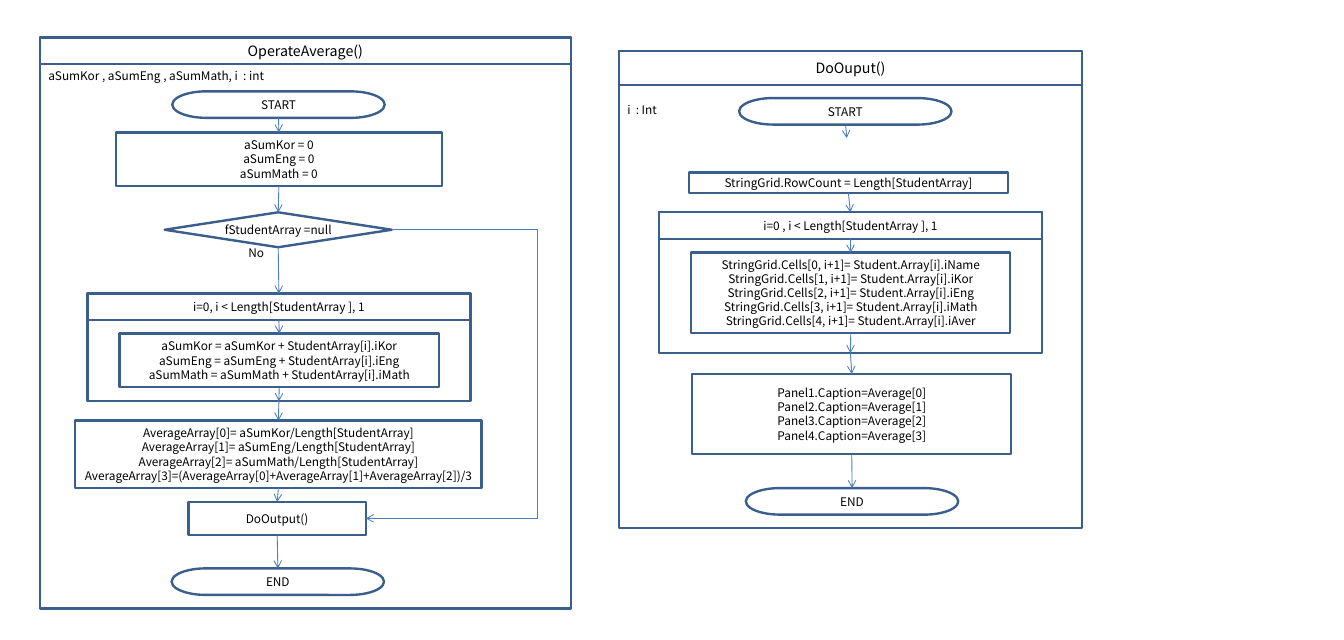
from lxml import etree
from pptx import Presentation
from pptx import util as u
from pptx.dml.color import RGBColor
from pptx.enum import shapes, text
from pptx.oxml import ns

BORDER, FLOW, INK = "3A5F8C", "4B7EBC", "000000"
FONT = "Noto Sans CJK KR"
RECT = shapes.MSO_SHAPE.RECTANGLE
TERMINATOR = shapes.MSO_SHAPE.FLOWCHART_TERMINATOR
DECISION = shapes.MSO_SHAPE.FLOWCHART_DECISION
TOP, BOTTOM = 0, 2


def write(shape, lines, size, align, **frame_format):
    frame = shape.text_frame
    for key, value in frame_format.items():
        setattr(frame, key, value)
    frame.text = "\n".join(lines)
    for paragraph in frame.paragraphs:
        paragraph.alignment = align
        paragraph.line_spacing = u.Pt(size * 1.2)
        paragraph.font.name = FONT
        paragraph.font.size = u.Pt(size)
        paragraph.font.color.rgb = RGBColor.from_string(INK)


def draw_box(kind, place, lines=(), size=10):
    box = slide.shapes.add_shape(kind, *map(u.Cm, place))
    box.shadow.inherit = False
    box.fill.background()
    box.line.color.rgb = RGBColor.from_string(BORDER)
    box.line.width = u.Pt(2)
    if lines:
        write(box, lines, size, text.PP_ALIGN.CENTER, **centred)
    return box


centred = {
    "margin_left": 0,
    "margin_right": 0,
    "margin_top": 0,
    "margin_bottom": 0,
    "vertical_anchor": text.MSO_ANCHOR.MIDDLE,
    "word_wrap": True,
}

deck = Presentation()
deck.slide_width, deck.slide_height = u.Cm(40), u.Cm(19.05)
slide = deck.slides.add_slide(deck.slide_layouts[6])

parts = {}

frames = [
    ("operate", (1.19, 1.12, 15.8, 16.99), 0.79, "OperateAverage()", 12),
    ("output", (18.42, 1.52, 13.79, 14.2), 1.02, "DoOuput()", 12),
    ("sum loop", (2.6, 8.74, 11.4, 3.2), 0.79, "i=0, i < Length[StudentArray ], 1", 10),
    ("cell loop", (19.61, 6.32, 11.4, 4.19), 0.79, "i=0 , i < Length[StudentArray ], 1", 10),
]
for name, place, header_height, title, size in frames:
    parts[name] = draw_box(RECT, place)
    parts[name + " header"] = draw_box(RECT, (*place[:3], header_height), [title], size)

subjects = ["Kor", "Eng", "Math"]
fields = ["iName", "iKor", "iEng", "iMath", "iAver"]
sums = [f"aSum{s} = aSum{s} + StudentArray[i].i{s}" for s in subjects]
averages = [f"AverageArray[{n}]= aSum{s}/Length[StudentArray]" for n, s in enumerate(subjects)]
averages.append("AverageArray[3]=(AverageArray[0]+AverageArray[1]+AverageArray[2])/3")
cells = [f"StringGrid.Cells[{n}, i+1]= Student.Array[i].{f}" for n, f in enumerate(fields)]
captions = [f"Panel{n + 1}.Caption=Average[{n}]" for n in range(4)]

steps = [
    ("start", TERMINATOR, (5.13, 2.72, 6.32, 0.79), ["START"]),
    ("reset", RECT, (3.45, 3.94, 9.7, 1.6), [f"aSum{s} = 0" for s in subjects]),
    ("null check", DECISION, (4.9, 6.32, 6.76, 1.04), ["fStudentArray =null"]),
    ("sums", RECT, (3.56, 9.93, 9.5, 1.6), sums),
    ("averages", RECT, (2.24, 12.52, 12.09, 2.01), averages),
    ("call output", RECT, (5.61, 14.94, 5.28, 0.99), ["DoOutput()"]),
    ("end", TERMINATOR, (5.11, 16.92, 6.32, 0.79), ["END"]),
    ("output start", TERMINATOR, (22, 2.92, 6.32, 0.79), ["START"]),
    ("row count", RECT, (20.5, 5.13, 9.5, 0.61), ["StringGrid.RowCount = Length[StudentArray]"]),
    ("cells", RECT, (20.57, 7.52, 9.5, 2.39), cells),
    ("captions", RECT, (20.6, 11.13, 9.5, 2.39), captions),
    ("output end", TERMINATOR, (22.2, 14.53, 6.32, 0.79), ["END"]),
]
for name, kind, place, lines in steps:
    parts[name] = draw_box(kind, place, lines)

flush = dict.fromkeys(["margin_left", "margin_right", "margin_top", "margin_bottom"], 0)
labels = [
    ((1.19, 1.93, 7.01, 0.69), "aSumKor , aSumEng , aSumMath, i  : int", {"word_wrap": False}),
    ((18.42, 2.92, 3.61, 0.69), "i  : Int", {"word_wrap": True}),
    ((7.39, 7.32, 0.56, 0.43), "No", {"word_wrap": False, **flush}),
]
for place, label, frame_format in labels:
    note = slide.shapes.add_textbox(*map(u.Cm, place))
    write(note, [label], 10, text.PP_ALIGN.LEFT, **frame_format)

links = [
    ("start", "reset", TOP),
    ("reset", "null check", TOP),
    ("null check", "sum loop header", TOP),
    ("sum loop header", "sums", TOP),
    ("sums", "sum loop", BOTTOM),
    ("sum loop", "averages", TOP),
    ("averages", "call output", TOP),
    ("call output", "end", TOP),
    ("row count", "cell loop header", TOP),
    ("cell loop header", "cells", TOP),
    ("cells", "cell loop", BOTTOM),
    ("cell loop", "captions", TOP),
    ("captions", "output end", TOP),
]
arrows = []
for source, target, side in links:
    arrow = slide.shapes.add_connector(shapes.MSO_CONNECTOR.STRAIGHT, 0, 0, 0, 0)
    arrow.begin_connect(parts[source], BOTTOM)
    arrow.end_connect(parts[target], side)
    arrows.append(arrow)

open_end = [u.Cm(v) for v in (25.17, 3.73, 25.2, 4.11)]
arrows.append(slide.shapes.add_connector(shapes.MSO_CONNECTOR.STRAIGHT, *open_end))

bypass_ends = [u.Cm(v) for v in (11.66, 6.84, 10.89, 15.43)]
bypass = slide.shapes.add_connector(shapes.MSO_CONNECTOR.ELBOW, *bypass_ends)
bend = round((u.Cm(16) - bypass_ends[0]) / (bypass_ends[2] - bypass_ends[0]) * 100000)
geometry = bypass._element.spPr.find(ns.qn("a:prstGeom"))
guides = geometry.find(ns.qn("a:avLst"))
etree.SubElement(guides, ns.qn("a:gd"), name="adj1", fmla=f"val {bend}")
arrows.append(bypass)

for arrow in arrows:
    arrow.line.color.rgb = RGBColor.from_string(FLOW)
    arrow.line.width = u.Pt(0.75)
    etree.SubElement(arrow.line._get_or_add_ln(), ns.qn("a:tailEnd"), type="arrow")
    etree.SubElement(arrow._element.spPr, ns.qn("a:effectLst"))

deck.save("out.pptx")
